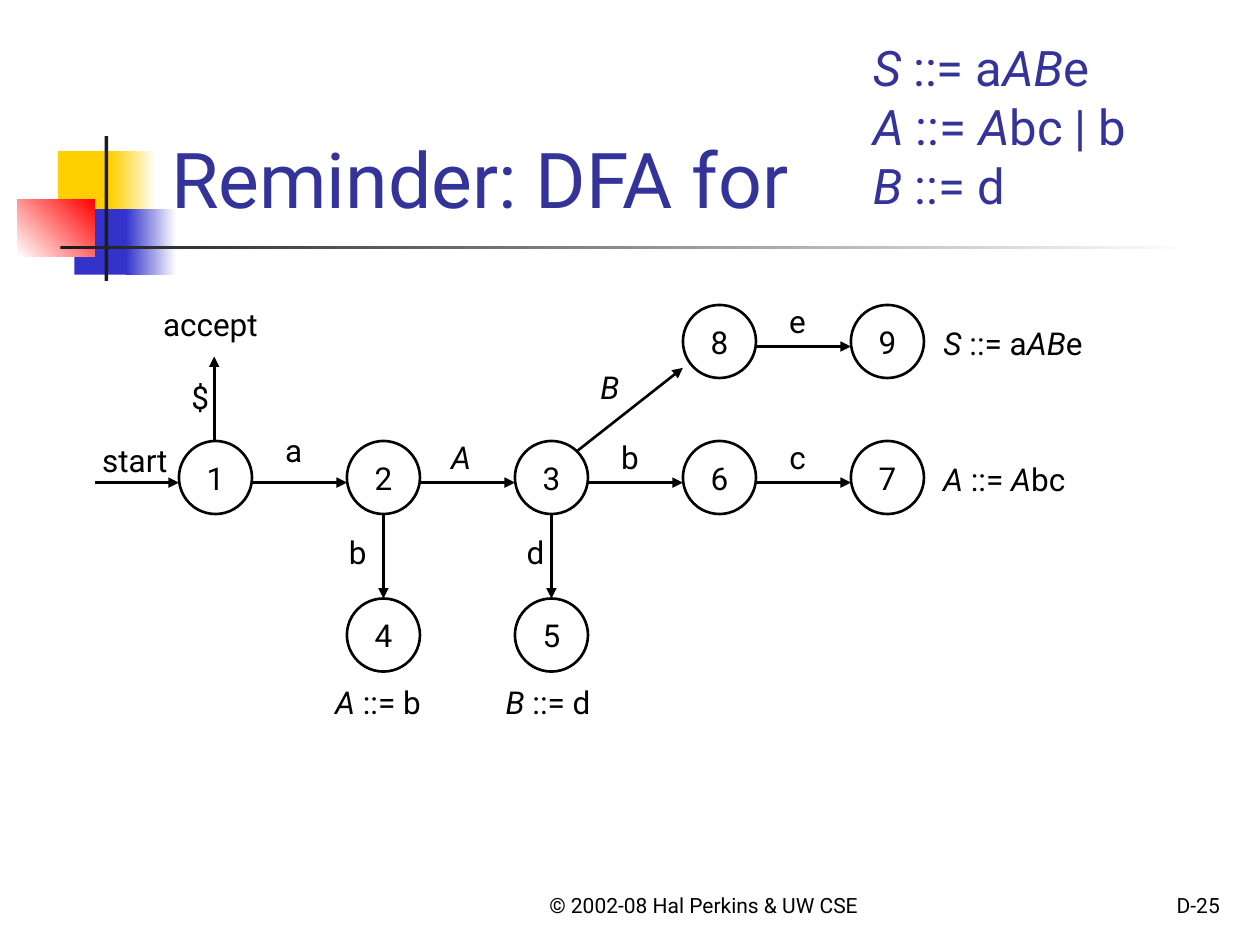
import pptx
import pptx.util
import pptx.dml.color
import pptx.enum.shapes
import pptx.enum.text
import pptx.oxml

Inches = pptx.util.Inches
Kind = pptx.enum.shapes.MSO_SHAPE
Align = pptx.enum.text.PP_ALIGN
Anchor = pptx.enum.text.MSO_ANCHOR

FONT = "Roboto"
INK = {"black": "000000", "white": "FFFFFF", "title": "333399", "gold": "FFCF01",
       "blue": "3333CC", "red": "FF0000", "dark": "1C1C1C"}

# Content: stars enclose italic text
TITLE = "Reminder: DFA for"
RULES = ["*S* ::= a*AB*e", "*A* ::= *A*bc | b", "*B* ::= d"]
FOOT = "© 2002-08 Hal Perkins & UW CSE"
PAGE = "D-25"

# Left, top, width, height, colours, gradient angle
DECOR = [
    (0.46, 1.2, 0.48, 0.52, ["gold"], 0),
    (0.88, 1.2, 0.36, 0.52, ["gold", "white"], 0),
    (0.59, 1.66, 0.46, 0.52, ["blue"], 0),
    (1, 1.66, 0.4, 0.52, ["blue", "white"], 0),
    (0.14, 1.58, 0.61, 0.46, ["white", "red"], 45),
    (0.83, 1.08, 0.03, 1.15, ["dark"], 0),
    (0.48, 1.95, 9, 0.03, ["dark", "white"], 0),
]

# State: column, row
STATES = {"1": (0, 1), "2": (1, 1), "3": (2, 1), "4": (1, 2), "5": (2, 2),
          "6": (3, 1), "7": (4, 1), "8": (3, 0), "9": (4, 0)}
ACROSS = ["12", "23", "36", "67", "89"]
DOWN = ["24", "35"]

# Text, centre x, centre y, width
LABELS = [
    ("start", 1.07, 3.65, 1.49), ("accept", 1.67, 2.57, 1.71), ("$", 1.59, 3.15, 1.09),
    ("a", 2.33, 3.57, 1.09), ("*A*", 3.66, 3.63, 1.09), ("b", 5, 3.63, 1.1),
    ("c", 6.33, 3.63, 1.07), ("b", 2.84, 4.38, 1.1), ("d", 4.25, 4.38, 1.1),
    ("*B*", 4.84, 3.07, 1.1), ("e", 6.33, 2.55, 1.09),
    ("*A* ::= b", 3, 5.57, 1.65), ("*B* ::= d", 4.35, 5.57, 1.66),
    ("*A* ::= *A*bc", 7.97, 3.8, 1.91), ("*S* ::= a*AB*e", 8.04, 2.72, 2.05),
]

# Grid
LEFT, STEP, SIZE = 1.42, 4 / 3, 0.58
TOPS = [2.42, 3.5, 4.75]
PORT = 0.33  # height at which level arrows meet a circle

deck = pptx.Presentation()
deck.slide_width, deck.slide_height = Inches(10), Inches(7.5)
slide = deck.slides.add_slide(deck.slide_layouts[6])
shapes = slide.shapes


def rgb(name):
    return pptx.dml.color.RGBColor.from_string(INK[name])


def write(shape, lines, size=18, ink="black", align=Align.CENTER,
          anchor=Anchor.TOP, wrap=False):
    frame = shape.text_frame
    frame.word_wrap = wrap
    frame.vertical_anchor = anchor
    for i, line in enumerate(lines):
        para = frame.paragraphs[0] if i == 0 else frame.add_paragraph()
        para.alignment = align
        for j, part in enumerate(line.split("*")):
            if part:
                run = para.add_run()
                run.text = part
                font = run.font
                font.name, font.size = FONT, pptx.util.Pt(size)
                font.italic = j % 2 == 1
                font.color.rgb = rgb(ink)


def box(x, y, w, h, lines, **look):
    write(shapes.add_textbox(*map(Inches, (x, y, w, h))), lines, **look)


def arrow(*ends):
    line = shapes.add_connector(pptx.enum.shapes.MSO_CONNECTOR.STRAIGHT,
                                *map(Inches, ends))
    line.line.color.rgb = rgb("black")
    line.line.width = pptx.util.Pt(1.5)
    tip = pptx.oxml.ns.qn("a:tailEnd")
    line.line._get_or_add_ln().append(
        line._element.makeelement(tip, {"type": "triangle"}))
    line._element.spPr.append(
        line._element.makeelement(pptx.oxml.ns.qn("a:effectLst"), {}))


def spot(state):
    col, row = STATES[state]
    return LEFT + col * STEP, TOPS[row]


# Corner blocks and rules
for x, y, w, h, inks, angle in DECOR:
    block = shapes.add_shape(Kind.RECTANGLE, *map(Inches, (x, y, w, h)))
    block.shadow.inherit = False
    block.line.fill.background()
    if len(inks) == 1:
        block.fill.solid()
        block.fill.fore_color.rgb = rgb(inks[0])
    else:
        block.fill.gradient()
        block.fill.gradient_angle = angle
        for stop, ink in zip(block.fill.gradient_stops, inks):
            stop.color.rgb = rgb(ink)

# Title, grammar and footer
box(1.26, 0.23, 8.52, 1.6, [TITLE], size=44, ink="title", align=Align.LEFT,
    anchor=Anchor.BOTTOM, wrap=True)
box(6.83, 0.25, 2.5, 1.5, RULES, size=28, ink="title", align=Align.LEFT, wrap=True)
box(4, 6.83, 3.17, 0.5, [FOOT], size=12, anchor=Anchor.BOTTOM, wrap=True)
box(7.7, 6.83, 2.08, 0.5, [PAGE], size=12, align=Align.RIGHT,
    anchor=Anchor.BOTTOM, wrap=True)

# States
for name in STATES:
    ring = shapes.add_shape(Kind.OVAL, *map(Inches, (*spot(name), SIZE, SIZE)))
    ring.shadow.inherit = False
    ring.fill.background()
    ring.line.color.rgb = rgb("black")
    ring.line.width = pptx.util.Pt(1.5)
    write(ring, [name], anchor=Anchor.MIDDLE)

# Transitions
for start, end in ACROSS:
    x, y = spot(start)
    arrow(x + SIZE, y + PORT, spot(end)[0], y + PORT)
for start, end in DOWN:
    x, y = spot(start)
    arrow(x + SIZE / 2, y + SIZE, x + SIZE / 2, spot(end)[1])
arrow(0.75, TOPS[1] + PORT, LEFT, TOPS[1] + PORT)
arrow(1.7, TOPS[1], 1.7, 2.83)
arrow(4.58, 3.58, 5.42, 2.92)

# Labels
for text, x, y, w in LABELS:
    box(x - w / 2, y - 0.2, w, 0.4, [text])

deck.save("out.pptx")
